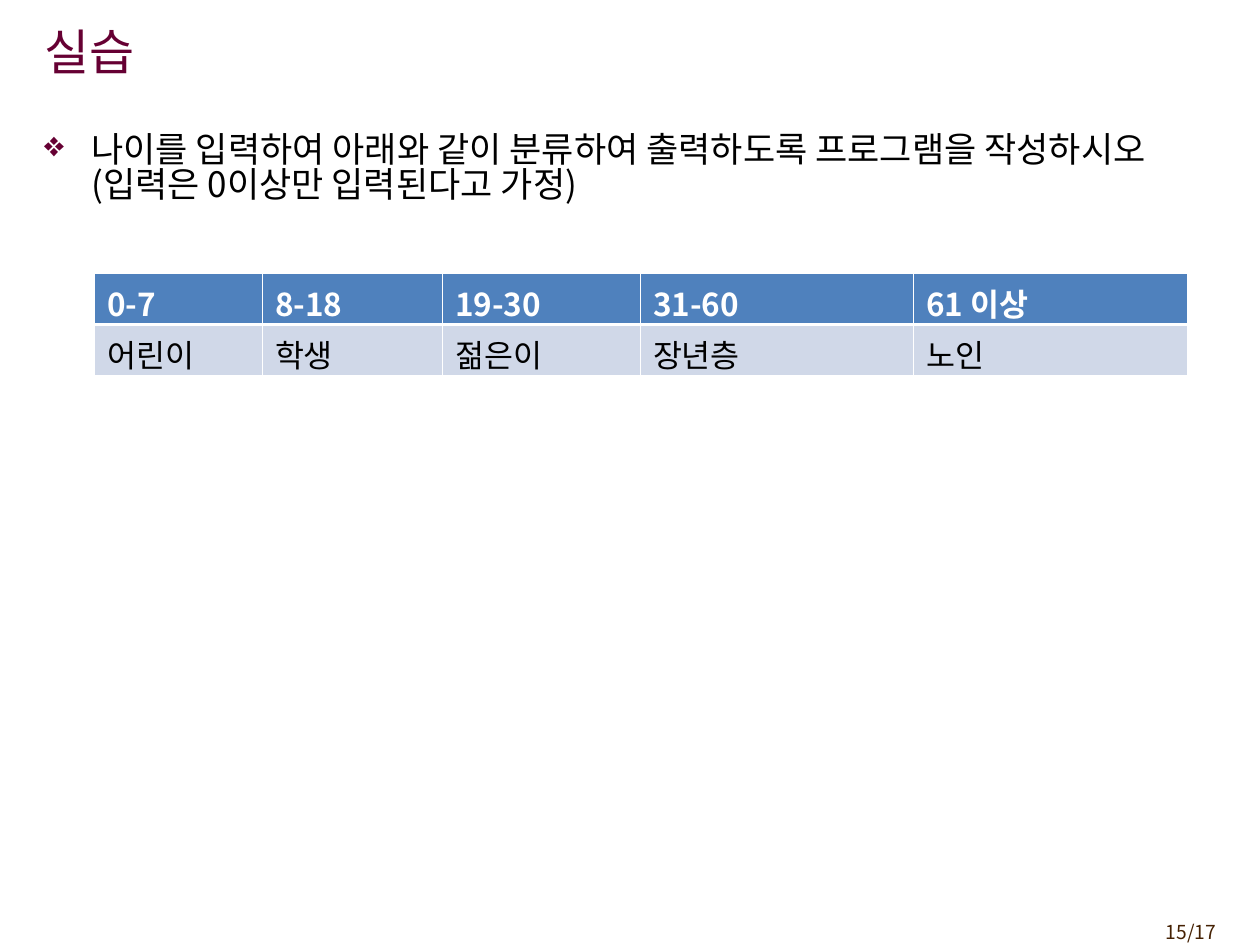
"""Build the exercise slide that sorts ages into groups."""
from lxml.etree import SubElement
from pptx import Presentation
from pptx.dml.color import RGBColor
from pptx.enum.text import MSO_ANCHOR, PP_ALIGN
from pptx.oxml.ns import qn
from pptx.util import Cm, Pt

FONT = "Noto Sans CJK KR"
BULLET = "❖"
MAROON = "660033"
TEXTS = {
    "title": {
        "text": "실습",
        "place": (0.64, 0.23, 21.01, 1.6),
        "anchor": MSO_ANCHOR.MIDDLE,
        "font": {"size": Pt(28)},
        "color": MAROON,
    },
    "task": {
        "text": "나이를 입력하여 아래와 같이 분류하여 출력하도록 프로그램을 작성하시오(입력은 0이상만 입력된다고 가정)",
        "place": (0.64, 2.59, 24.13, 15.88),
        "bullet": BULLET,
        "paragraph": {"line_spacing": 0.83},
        "font": {"size": Pt(20)},
        "color": "000000",
    },
    "page number": {
        "text": "15/17",
        "place": (22.66, 18.42, 2.11, 0.74),
        "paragraph": {"alignment": PP_ALIGN.RIGHT},
        "font": {"size": Pt(11)},
        "color": "452103",
    },
}
AGE_GROUPS = [
    ("0-7", "어린이", 3.38),
    ("8-18", "학생", 3.63),
    ("19-30", "젊은이", 3.99),
    ("31-60", "장년층", 5.51),
    ("61 이상", "노인", 5.51),
]
ROW_STYLES = [
    {"fill": "4F81BD", "color": "FFFFFF", "bold": True, "borders": (0.45, 0.45, 0.45, 1.47)},
    {"fill": "D0D8E8", "color": "000000", "bold": False, "borders": (0.45, 0.45, 1.47, 0.45)},
]
ROW_HEIGHT = 1.03


def color(value):
    return RGBColor.from_string(value)


def set_values(target, values):
    for name, value in values.items():
        setattr(target, name, value)


def write(para, text, font, text_color):
    span = para.add_run()
    span.text = text
    set_values(span.font, {"name": FONT, **font})
    span.font.color.rgb = color(text_color)
    SubElement(span.font._element, qn("a:ea"), typeface=FONT)


def add_bullet(para, character):
    properties = para._p.get_or_add_pPr()
    properties.set("marL", str(Cm(0.95)))
    properties.set("indent", str(Cm(-0.95)))
    bullet_color = SubElement(properties, qn("a:buClr"))
    SubElement(bullet_color, qn("a:srgbClr"), val=MAROON)
    SubElement(properties, qn("a:buChar"), char=character)


def add_text(page, item):
    box = page.shapes.add_textbox(*map(Cm, item["place"]))
    frame = box.text_frame
    set_values(frame, {"word_wrap": True, "vertical_anchor": item.get("anchor", MSO_ANCHOR.TOP)})
    para = frame.paragraphs[0]
    if "bullet" in item:
        add_bullet(para, item["bullet"])
    set_values(para, item.get("paragraph", {}))
    write(para, item["text"], item["font"], item["color"])


def set_borders(cell, widths):
    properties = cell._tc.get_or_add_tcPr()
    for side, width in zip("LRTB", widths):
        line = SubElement(properties, qn(f"a:ln{side}"), w=str(Pt(width)))
        fill = SubElement(line, qn("a:solidFill"))
        SubElement(fill, qn("a:srgbClr"), val="FFFFFF")


def add_age_table(page):
    *rows, widths = zip(*AGE_GROUPS)
    table = page.shapes.add_table(
        len(rows), len(widths), Cm(1.91), Cm(5.51), Cm(sum(widths)), Cm(ROW_HEIGHT * len(rows))
    ).table
    for column, width in zip(table.columns, widths):
        column.width = Cm(width)
    for row, texts, style in zip(table.rows, rows, ROW_STYLES):
        row.height = Cm(ROW_HEIGHT)
        for cell, text in zip(row.cells, texts):
            set_borders(cell, style["borders"])
            cell.fill.solid()
            cell.fill.fore_color.rgb = color(style["fill"])
            font = {"size": Pt(18), "bold": style["bold"]}
            write(cell.text_frame.paragraphs[0], text, font, style["color"])


def main():
    deck = Presentation()
    set_values(deck, {"slide_width": Cm(25.4), "slide_height": Cm(19.05)})
    page = deck.slides.add_slide(deck.slide_layouts[6])
    for item in TEXTS.values():
        add_text(page, item)
    add_age_table(page)
    deck.save("out.pptx")


if __name__ == "__main__":
    main()
